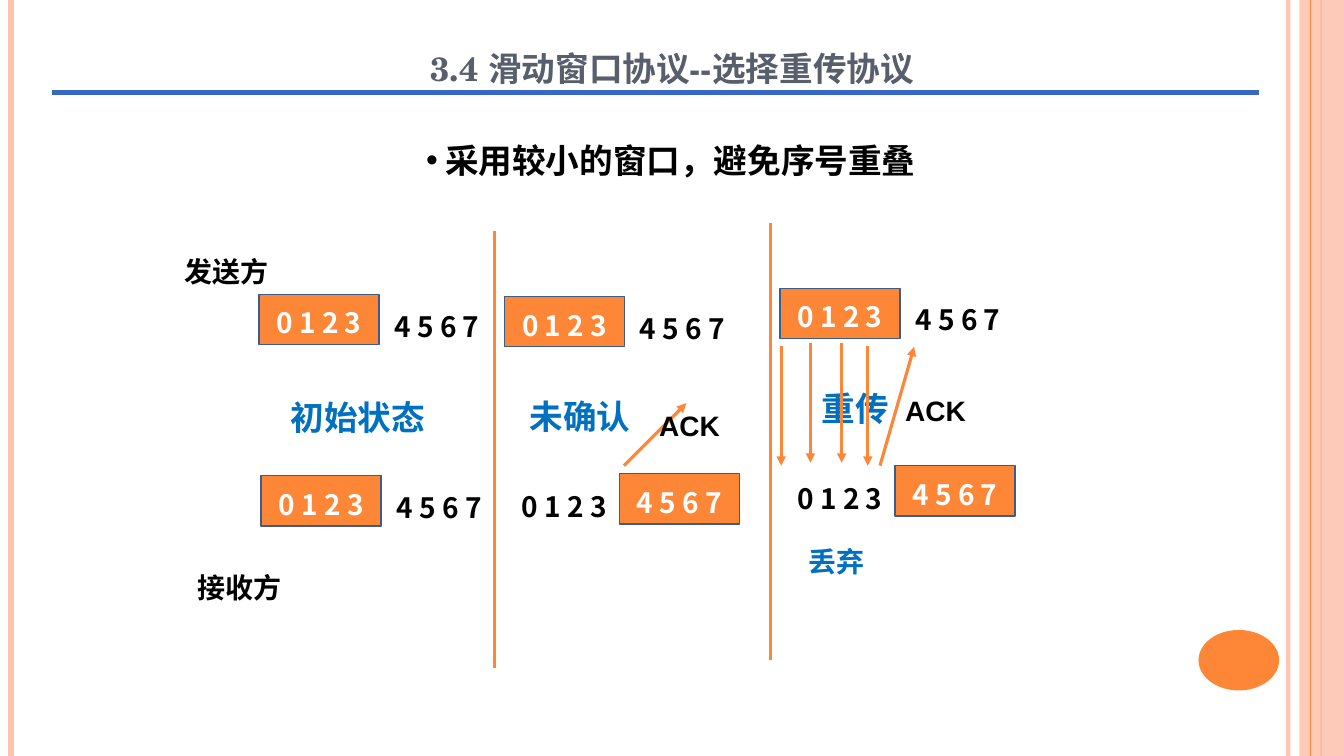
from lxml.etree import SubElement as Sub
from pptx import Presentation
from pptx.dml.color import RGBColor as Rgb
from pptx.enum.shapes import MSO_CONNECTOR as Conn, MSO_SHAPE as Shape
from pptx.enum.text import MSO_ANCHOR as Anchor, MSO_AUTO_SIZE as Auto, PP_ALIGN as Align
from pptx.oxml.ns import qn
from pptx.util import Pt

HEX = {
    "orange": "FE8637", "peach": "FEC3AE", "edge": "395E8A",
    "blue": "0070C0", "rule": "3668C4", "slate": "575F6D",
    "black": "000000", "white": "FFFFFF",
}
SANS = "Noto Sans CJK SC"
LOW, HIGH = "0 1 2 3", "4 5 6 7"
WIDE, TALL = 85.7, 36  # size of a window


def tint(fill, color, alpha=100):
    fill.solid()
    fill.fore_color.rgb = Rgb.from_string(HEX[color])
    if alpha < 100:
        node = fill._xPr.find(qn("a:solidFill"))[0]
        Sub(node, qn("a:alpha"), val=str(alpha * 1000))


def write(frame, text, size, color, face=SANS):
    frame.word_wrap = True
    para = frame.paragraphs[0]
    para.text = text
    para.alignment = Align.CENTER
    para.line_spacing = 1.2
    para.space_before = Pt(0)
    font = para.font
    font.size, font.bold, font.name = Pt(size), True, face
    font.color.rgb = Rgb.from_string(HEX[color])
    base = para._p.pPr.find(qn("a:defRPr"))
    Sub(base, qn("a:ea"), typeface=SANS)
    return base


def place(shape, left, top, width, height):
    shape.left, shape.top = Pt(left), Pt(top)
    shape.width, shape.height = Pt(width), Pt(height)
    shape.text_frame.auto_size = Auto.NONE


def label(slide, text, left, top, width, size=20, color="black", face="Arial"):
    box = slide.shapes.add_textbox(Pt(left), Pt(top), Pt(width), Pt(size * 1.8))
    box.text_frame.auto_size = Auto.SHAPE_TO_FIT_TEXT
    write(box.text_frame, text, size, color, face)


def block(slide, kind, left, top, width, height, color, alpha=100):
    shape = slide.shapes.add_shape(kind, Pt(left), Pt(top), Pt(width), Pt(height))
    shape.shadow.inherit = False
    tint(shape.fill, color, alpha)
    shape.line.fill.background()
    return shape


def line(slide, x1, y1, x2, y2, color="orange", width=2.25, alpha=100, head=False):
    link = slide.shapes.add_connector(Conn.STRAIGHT, Pt(x1), Pt(y1), Pt(x2), Pt(y2))
    link.line.width = Pt(width)
    tint(link.line.fill, color, alpha)
    if head:
        Sub(link.line._ln, qn("a:tailEnd"), type="triangle")
    Sub(link._element.spPr, qn("a:effectLst"))


def window(slide, text, left, top):
    box = block(slide, Shape.RECTANGLE, left, top, WIDE, TALL, "orange")
    tint(box.line.fill, "edge")
    box.line.width = Pt(1)
    box.text_frame.vertical_anchor = Anchor.MIDDLE
    write(box.text_frame, text, 20, "white")


def digits(slide, text, left, top):
    label(slide, text, left, top, 82.8, face=SANS)


def open_row(slide, left, top):
    """Window on the low numbers."""
    window(slide, LOW, left, top)
    digits(slide, HIGH, left + WIDE, top + 2.2)


def panel(slide, left, top, state):
    """Divider, state name, sender row and advanced receiver row."""
    line(slide, left, top, left, top + 312)
    label(slide, state, left + 11.2, top + 108.7, 99.4, 24, "blue", SANS)
    open_row(slide, left + 7, top + 46.8)
    window(slide, HIGH, left + 89.1, top + 173.5)
    digits(slide, LOW, left + 8.4, top + 176.4)


def frame(slide):
    line(slide, 920.2, 0, 920.2, 540, "peach", 3, 93)
    line(slide, 7.9, 0, 7.9, 540, "peach", 4.5)
    line(slide, 943.9, 0, 943.9, 540, width=1.5)
    block(slide, Shape.RECTANGLE, 928.1, 0, 31.9, 540, "peach", 87)
    line(slide, 936, 0, 936, 540, width=0.75)
    block(slide, Shape.OVAL, 856.1, 450, 57.6, 43.2, "orange")


def heading(slide):
    title, body = slide.placeholders
    place(title, 159.8, 7.2, 640.8, 60.5)
    title.text_frame.vertical_anchor = Anchor.BOTTOM
    base = write(title.text_frame, "3.4 滑动窗口协议--选择重传协议", 30, "slate",
                 "TeX Gyre Schola")
    base.set("cap", "small")
    line(slide, 37.4, 66.2, 899.3, 66.2, "rule", 3.5)

    place(body, 169.2, 90.7, 619.9, 45.4)
    props = body.text_frame.paragraphs[0]._p.get_or_add_pPr()
    props.set("marL", str(Pt(13.5)))
    props.set("indent", str(Pt(-13.5)))
    Sub(props, qn("a:buFont"), typeface="Arial")
    Sub(props, qn("a:buChar"), char="•")
    write(body.text_frame, "采用较小的窗口，避免序号重叠", 24, "black", "Arial")


def main():
    deck = Presentation()
    deck.slide_width, deck.slide_height = Pt(960), Pt(540)
    slide = deck.slides.add_slide(deck.slide_layouts[1])
    frame(slide)
    heading(slide)

    # Initial state
    label(slide, "发送方", 122.4, 173.5, 79.2)
    label(slide, "接收方", 131.8, 398.9, 79.2)
    label(slide, "初始状态", 197.3, 274.3, 116.6, 24, "blue", SANS)
    open_row(slide, 185, 210.2)
    open_row(slide, 186.5, 339.8)

    # Unacknowledged
    panel(slide, 353.5, 164.9, "未确认")
    line(slide, 445.7, 332.6, 490.3, 288, head=True)
    label(slide, "ACK", 452.9, 283.7, 79.2)

    # Retransmission
    panel(slide, 550.1, 159.1, "重传")
    for x, y in ((558, 247), (578.9, 244.8), (601.2, 244.8), (619.9, 247)):
        line(slide, x, y, x, y + 85.7, head=True)
    line(slide, 628.6, 332.6, 653, 247.7, head=True)
    label(slide, "ACK", 628.6, 272.9, 79.2)
    label(slide, "丢弃", 558, 380.9, 79.2, color="blue")

    deck.save("out.pptx")


if __name__ == "__main__":
    main()
